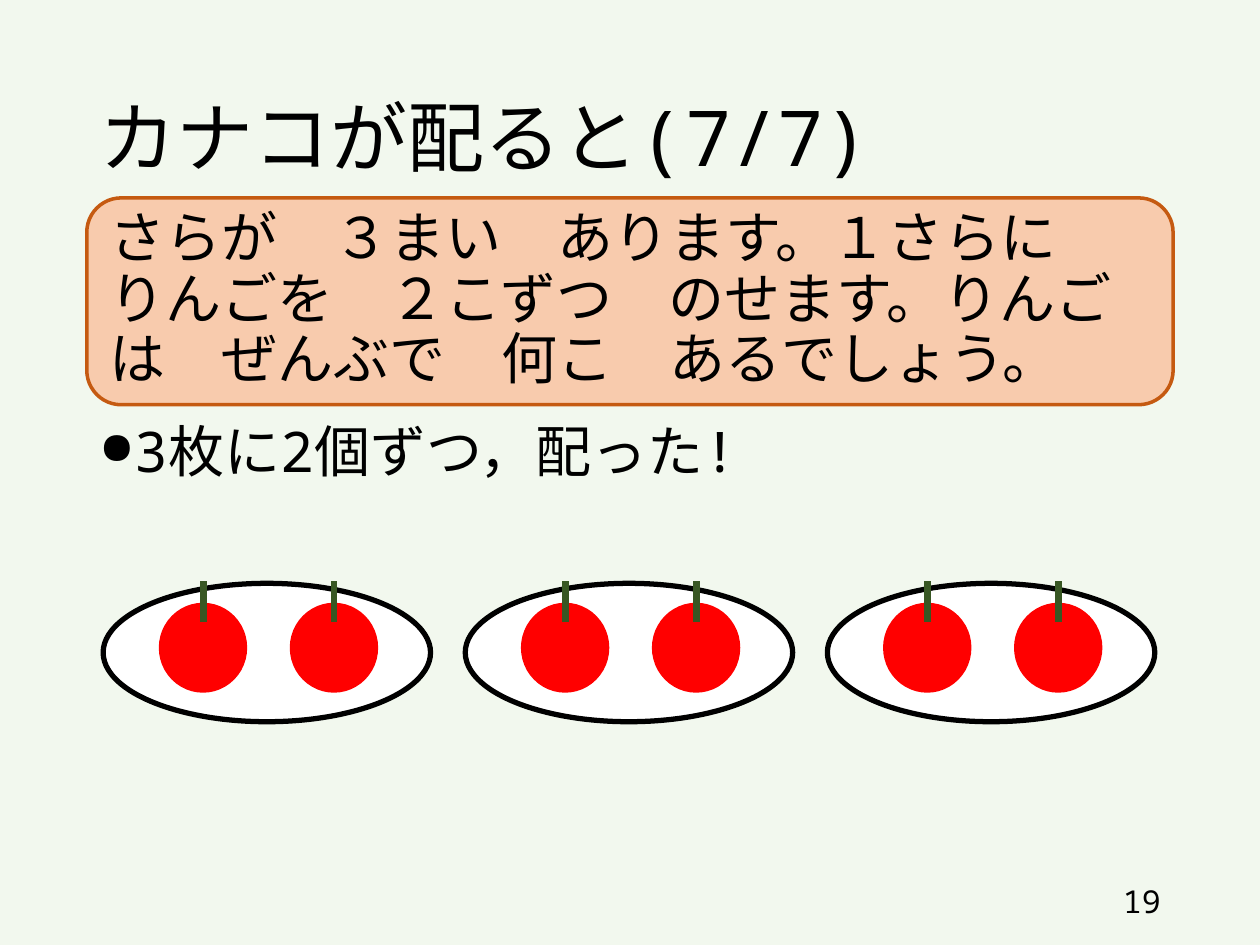
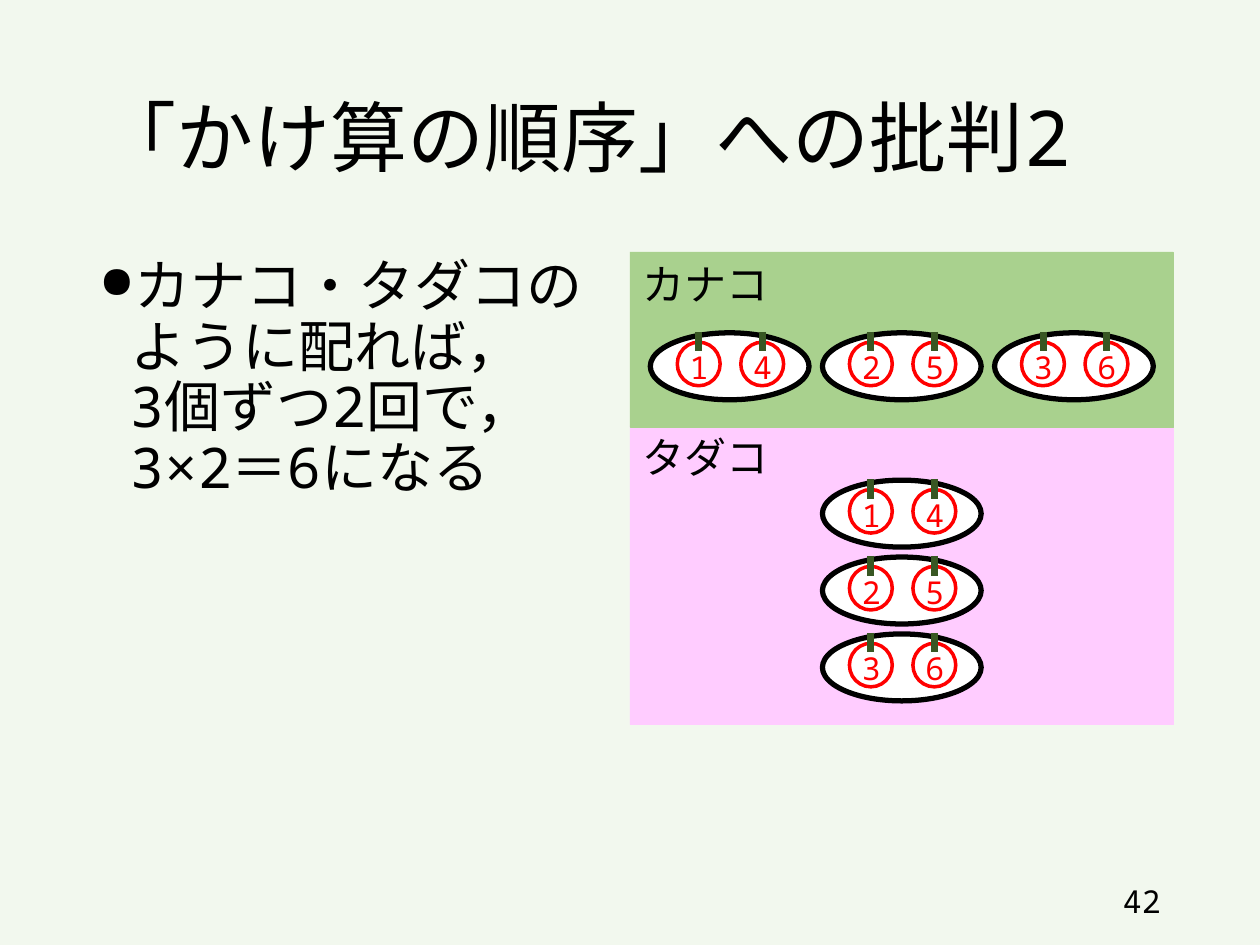
from lxml import etree
from pptx import Presentation
from pptx import util as u
from pptx.dml import color
from pptx.enum import lang, shapes, text
from pptx.oxml import ns

FONT = "Noto Sans Mono"
BLACK, WHITE, RED = "000000", "FFFFFF", "FF0000"
PALE, STEM = "F2F8EE", "385723"
PEACH, RUST = "F8CBAD", "C55A11"
GREEN, PINK = "A9D18E", "FFCCFF"
LEFT, WIDE = 1.75, 21.9
FORM = shapes.MSO_SHAPE


def tint(part, code):
    part.rgb = color.RGBColor.from_string(code)


def place(box, *area):
    box.left, box.top, box.width, box.height = map(u.Cm, area)


def write(frame, words, size, code=BLACK, align=text.PP_ALIGN.LEFT, tight=False):
    para = frame.paragraphs[0]
    para.alignment = align
    if tight:
        para.line_spacing = 0.9
    for i, line in enumerate(words.split("\n")):
        if i:
            para.add_line_break()
        run = para.add_run()
        run.text = line
        run.font.size = u.Pt(size)
        run.font.name = FONT
        run.font.language_id = lang.MSO_LANGUAGE_ID.JAPANESE
        tint(run.font.color, code)
        east = etree.SubElement(run.font._element, ns.qn("a:ea"))
        east.set("typeface", FONT)
    return para


def label(group, words, area, size, wrap=False, **style):
    box = group.add_textbox(*map(u.Cm, area))
    box.text_frame.word_wrap = wrap
    write(box.text_frame, words, size, **style)
    return box


def shape(group, form, area, fill, line, width):
    item = group.add_shape(form, *map(u.Cm, area))
    item.shadow.inherit = False
    if fill:
        item.fill.solid()
        tint(item.fill.fore_color, fill)
    else:
        item.fill.background()
    if line:
        tint(item.line.color, line)
        item.line.width = u.Pt(width)
    else:
        item.line.fill.background()
    return item


def stem(group, x, top, end):
    line = group.add_connector(
        shapes.MSO_CONNECTOR.STRAIGHT, *map(u.Cm, (x, top, x, end)))
    tint(line.line.color, STEM)
    line.line.width = u.Pt(4)
    etree.SubElement(line._element.spPr, ns.qn("a:effectLst"))


def apple(page, x, y, w, h, mark):
    group = page.shapes.add_group_shape().shapes
    area = (x, y, w, h)
    if mark:
        shape(group, FORM.OVAL, area, None, RED, 2)
    else:
        shape(group, FORM.OVAL, area, RED, None, 0)
    stem(group, x + w / 2, y - 0.24 * h, y + 0.21 * h)
    if mark:
        label(group, mark, (x, y, w, 1.02), 18,
              code=RED, align=text.PP_ALIGN.CENTER)


def plate(page, x, y, w, h, marks=("", "")):
    shape(page.shapes, FORM.OVAL, (x, y, w, h), WHITE, BLACK, 3)
    for i, mark in enumerate(marks):
        apple(page, x + (0.17 + 0.4 * i) * w, y + 0.14 * h,
              0.27 * w, 0.65 * h, mark)


def panel(page, name, top, tall, fill):
    shape(page.shapes, FORM.RECTANGLE, (12.7, top, 10.95, tall), fill, fill, 0.5)
    label(page.shapes, name, (12.7, top, 3.07, 1.27), 24)


def bullet(page, words, top, tall):
    box = label(page.shapes, words, (LEFT, top, WIDE, tall), 32,
                wrap=True, tight=True)
    para = box.text_frame.paragraphs[0]
    para.space_before = u.Pt(10)
    props = para._p.get_or_add_pPr()
    props.set("marL", str(u.Cm(0.64)))
    props.set("indent", str(u.Cm(-0.64)))
    etree.SubElement(props, ns.qn("a:buSzPct")).set("val", "80000")
    etree.SubElement(props, ns.qn("a:buChar")).set("char", "●")


def start(deck, title, number):
    page = deck.slides.add_slide(deck.slide_layouts[5])
    head = page.shapes.title
    place(head, LEFT, 1.02, WIDE, 3.68)
    frame = head.text_frame
    frame.auto_size = text.MSO_AUTO_SIZE.NONE
    frame.vertical_anchor = text.MSO_ANCHOR.MIDDLE
    write(frame, title, 44, tight=True)
    foot = label(page.shapes, number, (17.93, 17.65, 5.72, 1.02), 18,
                 wrap=True, align=text.PP_ALIGN.RIGHT)
    foot.text_frame.vertical_anchor = text.MSO_ANCHOR.MIDDLE
    return page


def share(deck):
    page = start(deck, "カナコが配ると(7/7)", "19")
    bullet(page, "3枚に2個ずつ，配った!", 8.43, 8.71)
    task = shape(page.shapes, FORM.ROUNDED_RECTANGLE,
                 (LEFT, 3.99, WIDE, 4.17), PEACH, RUST, 2)
    frame = task.text_frame
    frame.word_wrap = True
    frame.vertical_anchor = text.MSO_ANCHOR.MIDDLE
    para = write(frame, "さらが　３まい　あります。１さらに　りんごを　２こずつ　"
                 "のせます。りんごは　ぜんぶで　何こ　あるでしょう。", 32, tight=True)
    para.space_before = u.Pt(10)
    for i in range(3):
        plate(page, 2.08 + 7.3 * i, 11.76, 6.6, 2.79)


def debate(deck):
    page = start(deck, "「かけ算の順序」への批判2", "42")
    bullet(page, "カナコ・タダコの\nように配れば，\n3個ずつ2回で，\n3×2＝6になる", 5.08, 12.09)
    pairs = ("14", "25", "36")
    panel(page, "タダコ", 8.58, 6.03, PINK)
    for i, pair in enumerate(pairs):
        plate(page, 16.58, 9.68 + 1.55 * i, 3.2, 1.35, pair)
    panel(page, "カナコ", 5.08, 3.53, GREEN)
    for i, pair in enumerate(pairs):
        plate(page, 13.11 + 3.47 * i, 6.71, 3.2, 1.35, pair)


def main():
    deck = Presentation()
    deck.slide_width, deck.slide_height = u.Cm(25.4), u.Cm(19.05)
    back = deck.slide_master.background.fill
    back.solid()
    tint(back.fore_color, PALE)
    share(deck)
    debate(deck)
    deck.save("out.pptx")


if __name__ == "__main__":
    main()
